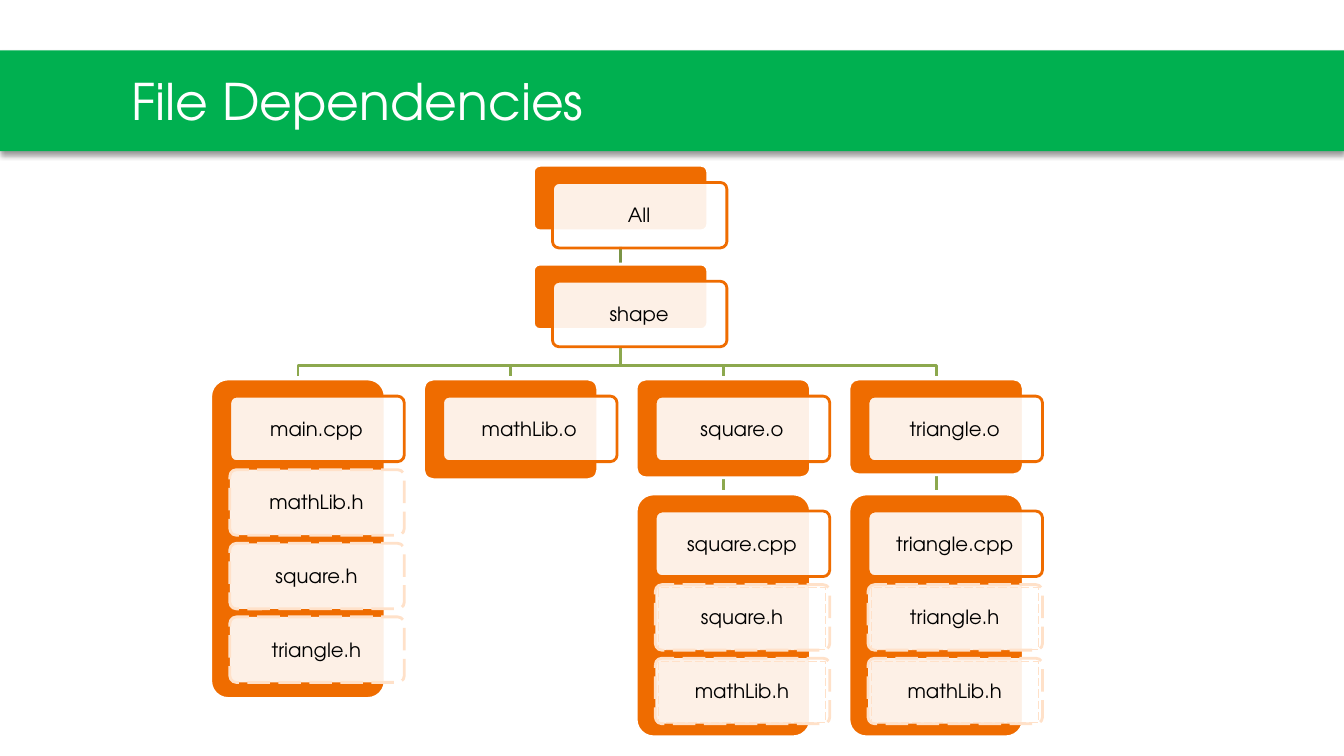
from lxml.etree import SubElement
from pptx import Presentation
from pptx.dml.color import RGBColor
from pptx.enum.dml import MSO_LINE
from pptx.enum.shapes import MSO_CONNECTOR, MSO_SHAPE
from pptx.enum.text import MSO_ANCHOR, PP_ALIGN
from pptx.oxml.ns import qn
from pptx.util import Inches, Pt

FONT = "TeX Gyre Adventor"
COLORS = {"green": "00B050", "orange": "EF6C00", "peach": "FFE1C9", "white": "FFFFFF",
          "black": "000000", "branch": "8CA84E", "stem": "7A9446"}
CARD_W, CARD_H = 1.73, 0.65
SHIFT_X, SHIFT_Y = 0.19, 0.17
STEP = 0.73
COL_X, COL_STEP = 2.09, 2.11
ROOT_X = 5.29
ROOTS = [(1.64, "All"), (2.62, "shape")]
TOP, LOW = 3.76, 4.9
STACKS = [
    (0, TOP, 3.17, ["main.cpp", "mathLib.h", "square.h", "triangle.h"], False),
    (1, TOP, 1.0, ["mathLib.o"], False),
    (2, TOP, 0.98, ["square.o"], False),
    (3, TOP, 0.95, ["triangle.o"], False),
    (2, LOW, 2.41, ["square.cpp", "square.h", "mathLib.h"], True),
    (3, LOW, 2.41, ["triangle.cpp", "triangle.h", "mathLib.h"], True),
]


def color(name):
    """Return the named colour."""
    return RGBColor.from_string(COLORS[name])


def outline(line, name, width, dash=False):
    """Set the colour, width and dash of a line."""
    line.color.rgb = color(name)
    line.width = Pt(width)
    if dash:
        line.dash_style = MSO_LINE.LONG_DASH


def write(frame, text, size, name, inset):
    """Put one styled line of text in a frame, centred in height."""
    frame.text = text
    frame.word_wrap = True
    frame.vertical_anchor = MSO_ANCHOR.MIDDLE
    (frame.margin_left, frame.margin_top,
     frame.margin_right, frame.margin_bottom) = map(Inches, inset)
    font = frame.paragraphs[0].runs[0].font
    font.name, font.size, font.color.rgb = FONT, Pt(size), color(name)


def banner(slide, left, top, width, height):
    """Draw the title band with its soft shadow."""
    band = slide.shapes.add_shape(MSO_SHAPE.RECTANGLE, *map(Inches, (left, top, width, height)))
    band.fill.solid()
    band.fill.fore_color.rgb = color("green")
    band.line.fill.background()
    band.shadow.inherit = False
    effects = band._element.spPr.find(qn("a:effectLst"))
    shade = SubElement(effects, qn("a:outerShdw"), blurRad=str(Pt(4)), dist=str(Pt(3)),
                       dir="5400000", algn="t", rotWithShape="0")
    tint = SubElement(shade, qn("a:srgbClr"), val=COLORS["black"])
    SubElement(tint, qn("a:alpha"), val="40000")
    write(band.text_frame, "File Dependencies", 36, "white", (1.3, 0.05, 0.3, 0.05))
    band.text_frame.paragraphs[0].alignment = PP_ALIGN.LEFT


def plate(slide, left, top, width, height, fill, edge, dash=False):
    """Draw a rounded plate and return it."""
    shape = slide.shapes.add_shape(MSO_SHAPE.ROUNDED_RECTANGLE,
                                   *map(Inches, (left, top, width, height)))
    shape.adjustments[0] = 0.1
    shape.shadow.inherit = False
    shape.fill.solid()
    shape.fill.fore_color.rgb = color(fill)
    outline(shape.line, edge, 2, dash)
    return shape


def card(slide, left, top, text, dash=False, inner=False):
    """Draw a see-through card with its label."""
    edge = "peach" if dash else "orange"
    face = plate(slide, left, top, CARD_W, CARD_H, "white", edge, dash)
    tint = face._element.spPr.find(qn("a:solidFill")).find(qn("a:srgbClr"))
    SubElement(tint, qn("a:alpha"), val="90000")
    label = slide.shapes.add_textbox(Inches(left + 0.03), Inches(top + 0.03),
                                     Inches(CARD_W - 0.07), Inches(CARD_H - 0.04))
    if inner:
        outline(label.line, edge, 0.75, dash)
    write(label.text_frame, text, 14, "black", [0.06] * 4)
    para = label.text_frame.paragraphs[0]
    para.alignment, para.line_spacing = PP_ALIGN.CENTER, 0.9


def stack(slide, left, top, height, names, inner=False):
    """Draw an orange plate with a column of cards, dashed after the first."""
    plate(slide, left, top, CARD_W, height, "orange", "white")
    for i, name in enumerate(names):
        card(slide, left + SHIFT_X, top + SHIFT_Y + i * STEP, name, i > 0, inner and i > 0)


def stem(slide, x, top, name):
    """Draw a short upright link."""
    link = slide.shapes.add_connector(MSO_CONNECTOR.STRAIGHT,
                                      *map(Inches, (x, top, x, top + 0.3)))
    outline(link.line, name, 2)
    SubElement(link._element.spPr, qn("a:effectLst"))


def branch(slide, start, end, top):
    """Draw a bent link from the root to a column."""
    points = [(start, top + 0.2), (end, top + 0.2), (end, top + 0.3)]
    path = slide.shapes.build_freeform(Inches(start), Inches(top))
    path.add_line_segments([(Inches(x), Inches(y)) for x, y in points], close=False)
    shape = path.convert_to_shape()
    shape.fill.background()
    shape.shadow.inherit = False
    outline(shape.line, "branch", 2)


def tree(slide, left, top):
    """Draw the links, then the roots and stacks over them."""
    cols = [left + i * COL_STEP for i in range(4)]
    mid = CARD_W / 2
    for x in cols[2:]:
        stem(slide, x + mid, top + 2.92, "branch")
    for x in cols:
        branch(slide, ROOT_X + mid, x + mid, top + 1.79)
    stem(slide, ROOT_X + mid, top + 0.8, "stem")
    for y, name in ROOTS:
        stack(slide, ROOT_X, y, CARD_H, [name])
    for col, y, height, names, inner in STACKS:
        stack(slide, cols[col], y, height, names, inner)


def main():
    """Build and save the slide."""
    deck = Presentation()
    deck.slide_width, deck.slide_height = Inches(13.33), Inches(7.5)
    slide = deck.slides.add_slide(deck.slide_layouts[6])
    banner(slide, 0, 0.5, 13.33, 1)
    tree(slide, COL_X, 1.64)
    deck.save("out.pptx")


if __name__ == "__main__":
    main()
